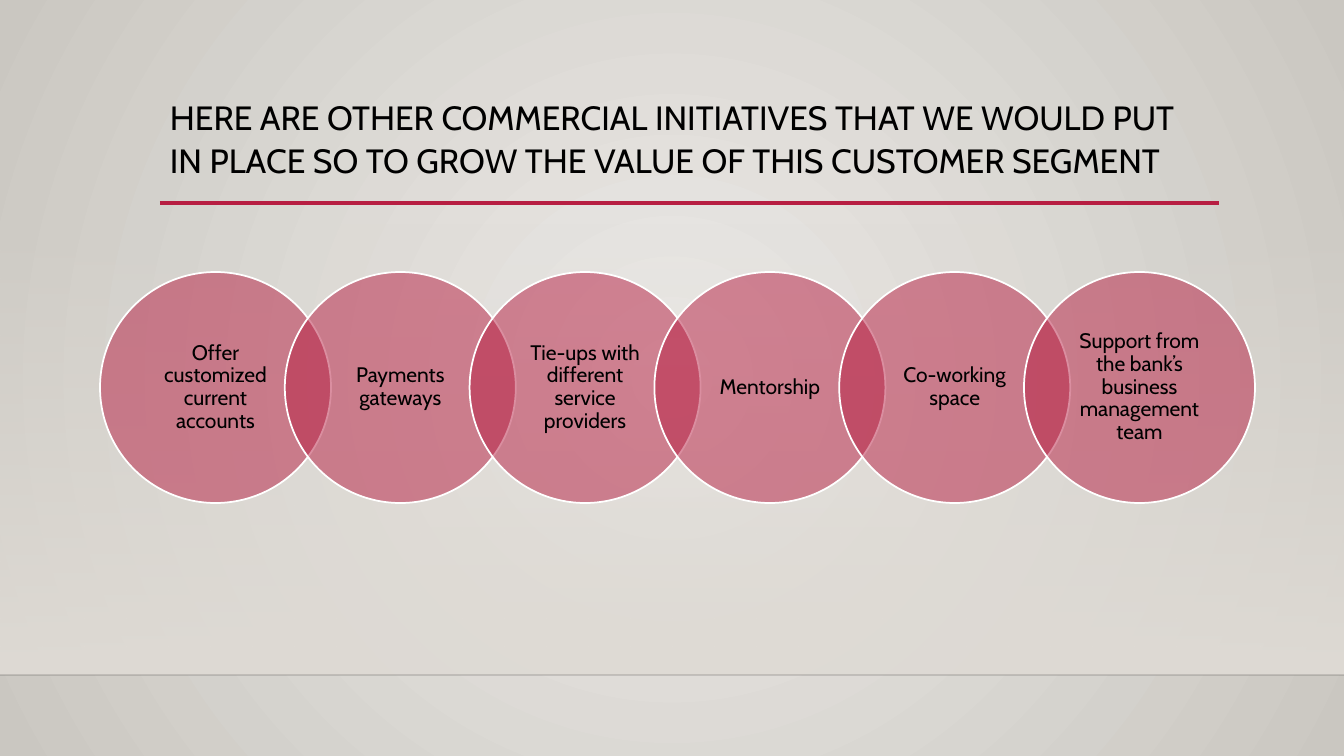
"""Build a slide of six overlapping circles naming commercial initiatives."""
from lxml import etree
from pptx import Presentation
from pptx.dml.color import RGBColor
from pptx.enum.shapes import MSO_CONNECTOR, MSO_SHAPE
from pptx.enum.text import MSO_ANCHOR, PP_ALIGN
from pptx.oxml.ns import qn
from pptx.util import Emu, Pt

STRAIGHT = MSO_CONNECTOR.STRAIGHT
RECTANGLE, OVAL = MSO_SHAPE.RECTANGLE, MSO_SHAPE.OVAL
TOP, MIDDLE = MSO_ANCHOR.TOP, MSO_ANCHOR.MIDDLE
LEFT, CENTER = PP_ALIGN.LEFT, PP_ALIGN.CENTER

EMU_PER_PX = 914400 / 100.8
WIDTH, HEIGHT = 1344, 756
FLOOR_TOP = 675
THEME = {
    "font": "Cabin",
    "title_size": 24,
    "label_size": 15,
    "text": RGBColor.from_string("000000"),
    "accent": RGBColor.from_string("B71E42"),
    "outline": RGBColor.from_string("FFFFFF"),
    "floor_line": RGBColor.from_string("000001"),
    "glow": RGBColor.from_string("ECEAE7"),
    "edge": RGBColor.from_string("CAC7C1"),
    "wall": RGBColor.from_string("DFDBD5"),
}
TITLE = (
    "HERE ARE OTHER COMMERCIAL INITIATIVES THAT WE WOULD PUT "
    "IN PLACE SO TO GROW THE VALUE OF THIS CUSTOMER SEGMENT"
)
INITIATIVES = [
    "Offer customized current accounts",
    "Payments gateways",
    "Tie-ups with different service providers",
    "Mentorship",
    "Co-working space",
    "Support from the bank’s business management team",
]
CIRCLE_LEFT, CIRCLE_TOP, DIAMETER = 100, 272, 231
PITCH = DIAMETER * 0.8


def px(*lengths):
    """Turn pixel lengths into EMU."""
    return [Emu(round(length * EMU_PER_PX)) for length in lengths]


def write(shape, text, size, anchor, align, spacing):
    """Fill a shape with one styled paragraph."""
    frame = shape.text_frame
    frame.text = text
    frame.word_wrap = True
    frame.vertical_anchor = anchor
    para = frame.paragraphs[0]
    para.alignment = align
    para.line_spacing = spacing
    font = para.runs[0].font
    font.name = THEME["font"]
    font.size = Pt(size)
    font.color.rgb = THEME["text"]


deck = Presentation()
deck.slide_width, deck.slide_height = px(WIDTH, HEIGHT)
page = deck.slides.add_slide(deck.slide_layouts[6])

backdrop = page.background.fill
backdrop.gradient()
for stop, name in zip(backdrop.gradient_stops, ("glow", "edge")):
    stop.color.rgb = THEME[name]
gradient = page.background._cSld.find(".//" + qn("a:gradFill"))
gradient.remove(gradient.find(qn("a:lin")))
radial = etree.SubElement(gradient, qn("a:path"), {"path": "circle"})
center = {side: "50000" for side in "ltrb"}
etree.SubElement(radial, qn("a:fillToRect"), center)

wall = page.shapes.add_shape(RECTANGLE, *px(0, 223, WIDTH, FLOOR_TOP - 223))
wall.shadow.inherit = False
wall.line.fill.background()
wall.fill.gradient()
wall.fill.gradient_angle = 270
for stop in wall.fill.gradient_stops:
    stop.color.rgb = THEME["wall"]
clear_color = wall._element.spPr.find(".//" + qn("a:srgbClr"))
etree.SubElement(clear_color, qn("a:alpha"), val="0")

for left, right, y, name, weight, opacity in [
    (0, WIDTH, FLOOR_TOP, "floor_line", 1, 20),
    (160, 1219, 203, "accent", 2.5, 100),
]:
    rule = page.shapes.add_connector(STRAIGHT, *px(left, y, right, y))
    rule.line.color.rgb = THEME[name]
    rule.line.width = Pt(weight)
    properties = rule._element.spPr
    rule_color = properties.find(".//" + qn("a:srgbClr"))
    etree.SubElement(rule_color, qn("a:alpha"), val=str(opacity * 1000))
    etree.SubElement(properties, qn("a:effectLst"))

title = page.shapes.add_textbox(*px(160, 89, 1058, 116))
write(title, TITLE, THEME["title_size"], TOP, LEFT, 1.07)

for index, initiative in enumerate(INITIATIVES):
    left = CIRCLE_LEFT + index * PITCH
    circle = page.shapes.add_shape(OVAL, *px(left, CIRCLE_TOP, DIAMETER, DIAMETER))
    circle.shadow.inherit = False
    circle.fill.solid()
    circle.fill.fore_color.rgb = THEME["accent"]
    fill_color = circle._element.spPr.find(".//" + qn("a:srgbClr"))
    etree.SubElement(fill_color, qn("a:alpha"), val="50000")
    circle.line.color.rgb = THEME["outline"]
    circle.line.width = Pt(1.25)
    write(circle, initiative, THEME["label_size"], MIDDLE, CENTER, 0.9)
    frame = circle.text_frame
    frame.margin_left, frame.margin_right = px(13, 13)
    frame.margin_top, frame.margin_bottom = px(2, 2)

deck.save("out.pptx")
